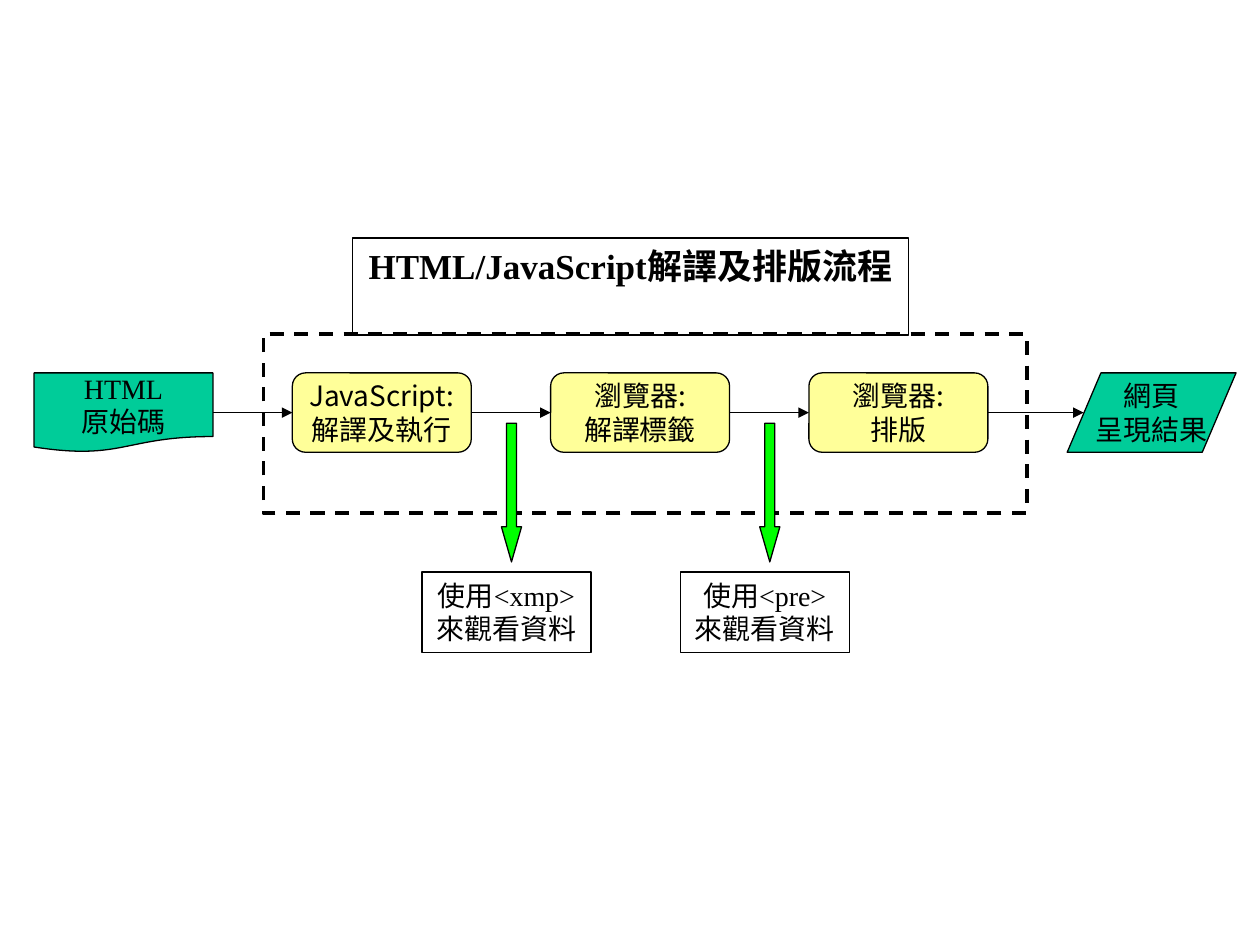
from lxml import etree
from pptx import Presentation
from pptx.dml.color import RGBColor
from pptx.enum.dml import MSO_LINE
from pptx.enum.shapes import MSO_CONNECTOR, MSO_SHAPE as SHAPE
from pptx.enum.text import MSO_ANCHOR, MSO_AUTO_SIZE, PP_ALIGN
from pptx.oxml.ns import qn
from pptx.util import Inches, Pt


def rgb(value):
    return RGBColor.from_string(value)


class FlowSlide:
    BLACK, GREEN, YELLOW, LIME = "000000", "00CC99", "FFFF99", "00FF00"
    SERIF, CJK = "Times New Roman", "Noto Sans CJK TC"
    TOP, WIDTH, HEIGHT = 2.96, 1.42, 0.63

    def __init__(self, prs):
        self.s = prs.slides.add_slide(prs.slide_layouts[6])

    def shape(self, kind, x, y, w, h, fill=None, line_width=0.75):
        sp = self.s.shapes.add_shape(kind, Inches(x), Inches(y), Inches(w), Inches(h))
        sp.shadow.inherit = False
        if fill:
            sp.fill.solid()
            sp.fill.fore_color.rgb = rgb(fill)
        else:
            sp.fill.background()
        sp.line.color.rgb = rgb(self.BLACK)
        sp.line.width = Pt(line_width)
        return sp

    def set_text(self, sp, text, size=16, font=SERIF, bold=False):
        tf = sp.text_frame
        tf.text = text
        for p in tf.paragraphs:
            p.alignment = PP_ALIGN.CENTER
            for r in p.runs:
                r.font.size = Pt(size)
                r.font.bold = bold
                r.font.name = font
                r.font.color.rgb = rgb(self.BLACK)
                ea = etree.SubElement(r.font._element, qn("a:ea"))
                ea.set("typeface", self.CJK)

    def step(self, kind, x, text, fill, font=SERIF, w=WIDTH):
        sp = self.shape(kind, x, self.TOP, w, self.HEIGHT, fill)
        self.set_text(sp, text, font=font)
        sp.text_frame.word_wrap = False
        sp.text_frame.vertical_anchor = MSO_ANCHOR.MIDDLE
        return sp

    def label(self, x, y, w, h, text, size=16, bold=False):
        sp = self.shape(SHAPE.RECTANGLE, x, y, w, h)
        self.set_text(sp, text, size, bold=bold)
        tf = sp.text_frame
        tf.word_wrap = True
        tf.vertical_anchor = MSO_ANCHOR.TOP
        tf.auto_size = MSO_AUTO_SIZE.SHAPE_TO_FIT_TEXT

    def arrow(self, start, end=None, end_x=0):
        """Join two steps, or run from a step to a free point at end_x."""
        y = Inches(self.TOP + self.HEIGHT / 2)
        line = self.s.shapes.add_connector(
            MSO_CONNECTOR.STRAIGHT, start.left + start.width, y, Inches(end_x), y)
        line.begin_connect(start, 3)
        if end is not None:
            line.end_connect(end, 1)
        line.line.color.rgb = rgb(self.BLACK)
        line.line.width = Pt(0.75)
        etree.SubElement(line.line._get_or_add_ln(), qn("a:tailEnd")).set("type", "triangle")
        etree.SubElement(line._element.spPr, qn("a:effectLst"))

    def down_arrow(self, x):
        sp = self.shape(SHAPE.DOWN_ARROW, x, 3.36, 0.16, 1.1, self.LIME)
        sp.adjustments[0] = 0.5
        sp.adjustments[1] = 1.74

    def frame(self, x, y, w, h):
        sp = self.shape(SHAPE.RECTANGLE, x, y, w, h, line_width=2)
        sp.line.dash_style = MSO_LINE.DASH


def main():
    prs = Presentation()
    prs.slide_width, prs.slide_height = Inches(10), Inches(7.5)
    flow = FlowSlide(prs)
    pitch = 2.05

    # Source, browser steps and result
    steps = [flow.step(SHAPE.FLOWCHART_DOCUMENT, 0.27, "HTML\n原始碼", flow.GREEN)]
    texts = ["JavaScript:\n解譯及執行", "瀏覽器:\n解譯標籤", "瀏覽器:\n排版"]
    for i, text in enumerate(texts):
        steps.append(flow.step(SHAPE.FLOWCHART_ALTERNATE_PROCESS, 2.32 + i * pitch,
                               text, flow.YELLOW, flow.CJK))
    flow.step(SHAPE.FLOWCHART_DATA, 8.47, "網頁\n呈現結果", flow.GREEN, w=1.34)

    # Arrows along the flow; the last one meets the slanted side
    for start, end in zip(steps, steps[1:]):
        flow.arrow(start, end)
    flow.arrow(steps[-1], end_x=8.6)

    # Dashed browser frame
    flow.frame(2.09, 2.65, 6.06, 1.42)

    # Ways to inspect the data between steps
    for i, tag in enumerate(["<xmp>", "<pre>"]):
        flow.down_arrow(3.98 + i * pitch)
        flow.label(3.35 + i * pitch, 4.54, 1.34, 0.64, f"使用{tag}來觀看資料")

    # Title
    flow.label(2.8, 1.89, 4.41, 0.77, "HTML/JavaScript解譯及排版流程", 20, True)

    prs.save("out.pptx")


if __name__ == "__main__":
    main()
